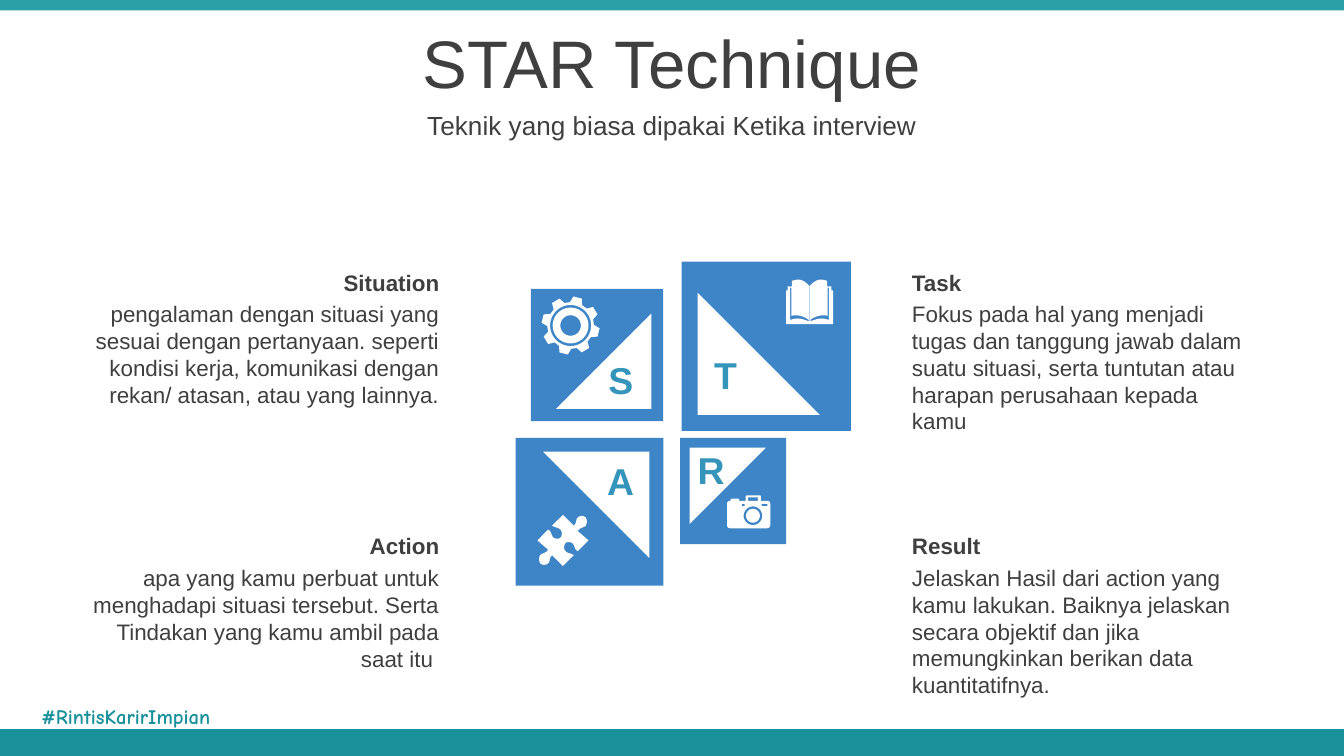
import math
from dataclasses import dataclass

from pptx import Presentation
from pptx import util as u
from pptx.dml.color import RGBColor
from pptx.enum import shapes, text

COLORS = {
    "footer": "18919B",
    "header": "2CA0A7",
    "square": "3D85C6",
    "letter": "3494BA",
    "text": "3F3F3F",
    "white": "FFFFFF",
}
ALIGN = text.PP_ALIGN
Point = tuple[float, float]


@dataclass
class Tile:
    """A square with a right triangle and a letter; all lengths in points."""
    letter: str
    square: tuple[float, float, float]
    triangle: tuple[float, float, float]
    rotation: int
    letter_at: Point


@dataclass
class Step:
    heading: str
    body: str
    left: float
    top: float
    body_height: float
    align: ALIGN


TILES = [
    Tile("S", (284.4, 154.8, 70.9), (297.9, 167.9, 51.1), 270, (316.8, 187.9)),
    Tile("T", (365.2, 140.2, 90.7), (373.7, 156.8, 65.5), 0, (372.9, 185)),
    Tile("A", (276.3, 234.6, 79.2), (290.9, 242, 57), 180, (316.8, 241.9)),
    Tile("R", (364.3, 234.6, 56.9), (369.4, 239.8, 41), 90, (365.2, 236.2)),
]

LEFT, RIGHT, TOP, BOTTOM = 42.5, 481.5, 140.4, 281.8
STEPS = [
    Step("Situation", "pengalaman dengan situasi yang sesuai dengan pertanyaan. seperti kondisi "
         "kerja, komunikasi dengan rekan/ atasan, atau yang lainnya.", LEFT, TOP, 65.4, ALIGN.RIGHT),
    Step("Action", "apa yang kamu perbuat untuk menghadapi situasi tersebut. Serta Tindakan yang "
         "kamu ambil pada saat itu ", LEFT, BOTTOM, 65.4, ALIGN.RIGHT),
    Step("Task", "Fokus pada hal yang menjadi tugas dan tanggung jawab dalam suatu situasi, serta "
         "tuntutan atau harapan perusahaan kepada kamu", RIGHT, TOP, 65.4, ALIGN.LEFT),
    Step("Result", "Jelaskan Hasil dari action yang kamu lakukan. Baiknya jelaskan secara objektif "
         "dan jika memungkinkan berikan data kuantitatifnya.", RIGHT, BOTTOM, 80, ALIGN.LEFT),
]


def paint(shape, color: str) -> None:
    shape.shadow.inherit = False
    shape.fill.solid()
    shape.fill.fore_color.rgb = RGBColor.from_string(COLORS[color])
    shape.line.fill.background()


def add_preset(slide, kind, box, color: str, rotation: float = 0) -> None:
    shape = slide.shapes.add_shape(kind, *map(u.Pt, box))
    shape.rotation = rotation
    paint(shape, color)


def add_text(slide, words: str, box, size: float, align=ALIGN.LEFT, color="text", bold=False,
             font="Arial", anchor=text.MSO_ANCHOR.TOP, vertical_inset: float = 3.6) -> None:
    frame = slide.shapes.add_textbox(*map(u.Pt, box)).text_frame
    frame_format = {
        "word_wrap": True, "auto_size": text.MSO_AUTO_SIZE.NONE, "vertical_anchor": anchor,
        "margin_left": u.Pt(7.2), "margin_right": u.Pt(7.2),
        "margin_top": u.Pt(vertical_inset), "margin_bottom": u.Pt(vertical_inset),
    }
    for name, value in frame_format.items():
        setattr(frame, name, value)
    paragraph = frame.paragraphs[0]
    paragraph.alignment = align
    run = paragraph.add_run()
    run.text = words
    for name, value in {"name": font, "size": u.Pt(size), "bold": bold}.items():
        setattr(run.font, name, value)
    run.font.color.rgb = RGBColor.from_string(COLORS[color])


def polar(radius: float, degrees: float) -> Point:
    angle = math.radians(degrees)
    return radius * math.cos(angle), radius * math.sin(angle)


def circle(radius: float, x: float = 0, y: float = 0) -> list[Point]:
    return [(x + dx, y + dy) for dx, dy in (polar(radius, 10 * step) for step in range(36))]


def rectangle(left: float, top: float, width: float, height: float) -> list[Point]:
    return [(left, top), (left + width, top), (left + width, top + height), (left, top + height)]


def flatten(start: Point, segments) -> list[Point]:
    """Turn lines (one point) and cubic curves (three points) into a list of points."""
    points = [start]
    for segment in segments:
        if len(segment) == 1:
            points.append(segment[0])
            continue
        curve = (points[-1], *segment)
        for t in (step / 8 for step in range(1, 9)):
            weights = ((1 - t) ** 3, 3 * t * (1 - t) ** 2, 3 * t * t * (1 - t), t ** 3)
            points.append(tuple(sum(w * p[axis] for w, p in zip(weights, curve)) for axis in (0, 1)))
    return points


def add_icon(slide, origin: Point, contours: list[list[Point]]) -> None:
    """Draw white contours around an origin; inner contours become holes."""
    placed = [[(u.Pt(origin[0] + x), u.Pt(origin[1] + y)) for x, y in contour] for contour in contours]
    builder = slide.shapes.build_freeform(*placed[0][0])
    builder.add_line_segments(placed[0][1:], close=True)
    for contour in placed[1:]:
        builder.move_to(*contour[0])
        builder.add_line_segments(contour[1:], close=True)
    paint(builder.convert_to_shape(), "white")


def gear() -> list[list[Point]]:
    corners = ((12.5, -15.5), (15.6, -8.5), (15.6, 8.5), (12.5, 15.5))
    teeth = [polar(radius, 14 + 45 * tooth + offset) for tooth in range(8) for radius, offset in corners]
    return [teeth, circle(11), circle(9.6), circle(5.5)]


def book() -> list[list[Point]]:
    cover = flatten((0, 3.6), [
        ((1.8, 1.4), (4, 0), (6.1, 0)), ((7, 0), (8.3, 0.4), (9.5, 0.7)),
        ((9.5, 3.6),), ((11.7, 3.6),), ((11.7, 5.8),), ((12.6, 5.8),), ((12.6, 23.8),)])
    gap = flatten((10.4, 4.3), [
        ((9.7, 4.3),), ((9.7, 19.4),), ((6.8, 18.7), (3.2, 19.4), (0.4, 21.6)),
        ((0.4, 22.3),), ((4.7, 20.9), (6.1, 20.2), (10.4, 21.6))])

    def mirror(points: list[Point]) -> list[Point]:
        return [(-x, y) for x, y in reversed(points)]

    return [cover + mirror(cover), gap, mirror(gap), rectangle(-0.15, 3.6, 0.3, 18.4)]


def puzzle() -> list[list[Point]]:
    half = flatten((12.2, -12.2), [
        ((13, -10.8), (13, -9.4), (12.2, -7.9)), ((10.8, -6.5), (9.4, -7.2), (7.9, -5)),
        ((13.7, 0),), ((7.9, 5.8),),
        ((5.8, 4.3), (6.5, 2.9), (5, 1.4)), ((3.6, 0.7), (2.2, 0.7), (1.4, 1.4)),
        ((0.7, 2.2), (0, 4.3), (1.4, 5.8)), ((2.9, 7.2), (3.6, 6.5), (5.8, 7.9)),
        ((0, 13.7),), ((-5.8, 7.9),),
        ((-7.9, 10.1), (-6.5, 10.8), (-7.9, 12.2)), ((-9.4, 13.7), (-11.5, 13), (-12.2, 12.2))])
    return [half + [(-x, -y) for x, y in half]]


def camera() -> list[list[Point]]:
    body = flatten((10.8, 0), [
        ((17.4, 0),), ((18, 0), (18.2, 0.2), (18.2, 0.8)), ((18.2, 2.9),), ((21.4, 2.9),),
        ((22.6, 2.9), (23.2, 3.6), (23.2, 4.6)), ((23.2, 15.8),),
        ((23.2, 16.9), (22.5, 17.6), (21.4, 17.6)), ((1.8, 17.6),),
        ((0.7, 17.6), (0, 16.9), (0, 15.8)), ((0, 4.6),), ((0, 3.6), (0.7, 2.9), (1.9, 2.9)),
        ((1.9, 2.4),), ((1.9, 2), (2.3, 1.7), (2.8, 1.7)), ((5.8, 1.7),),
        ((6.2, 1.7), (6.5, 2), (6.5, 2.4)), ((6.5, 2.9),), ((10, 2.9),), ((10, 0.8),),
        ((10, 0.2), (10.2, 0), (10.8, 0))])
    windows = [(8, 4.6, 1.5, 1.2), (18.6, 4.6, 3, 1.2), (11.4, 1, 5.2, 1.9)]
    return [body, circle(5, 13.9, 10.9), circle(3.7, 13.9, 10.9), *(rectangle(*w) for w in windows)]


def main() -> None:
    presentation = Presentation()
    presentation.slide_width, presentation.slide_height = u.Pt(720), u.Pt(405)
    slide = presentation.slides.add_slide(presentation.slide_layouts[6])
    kinds = shapes.MSO_SHAPE

    add_preset(slide, kinds.RECTANGLE, (0, 390.7, 720, 14.3), "footer")
    add_preset(slide, kinds.RECTANGLE, (0, 0, 720, 5.6), "header")
    add_text(slide, "#RintisKarirImpian", (15.1, 370, 113, 28), 11, color="footer", bold=True,
             font="Comic Neue", vertical_inset=7.2)
    for words, top, height, size in (("STAR Technique", 10.1, 45.4, 36),
                                     ("Teknik yang biasa dipakai Ketika interview", 55.5, 22.7, 14)):
        add_text(slide, words, (0, top, 720, height), size, ALIGN.CENTER,
                 anchor=text.MSO_ANCHOR.MIDDLE)

    for tile in TILES:
        for kind, (left, top, side), color, rotation in (
                (kinds.RECTANGLE, tile.square, "square", 0),
                (kinds.RIGHT_TRIANGLE, tile.triangle, "white", tile.rotation)):
            add_preset(slide, kind, (left, top, side, side), color, rotation)
        add_text(slide, tile.letter, (*tile.letter_at, 31.5, 31.5), 20, ALIGN.CENTER, "letter", True)

    for origin, contours in (((433.7, 149.8), book()), ((301.6, 289.5), puzzle()),
                             ((305.7, 174.4), gear()), ((389.5, 265.4), camera())):
        add_icon(slide, origin, contours)

    for step in STEPS:
        add_text(slide, step.body, (step.left, step.top + 16.8, 200, step.body_height), 12, step.align)
        add_text(slide, step.heading, (step.left, step.top, 200, 21.8), 12, step.align, bold=True)

    presentation.save("out.pptx")


if __name__ == "__main__":
    main()
